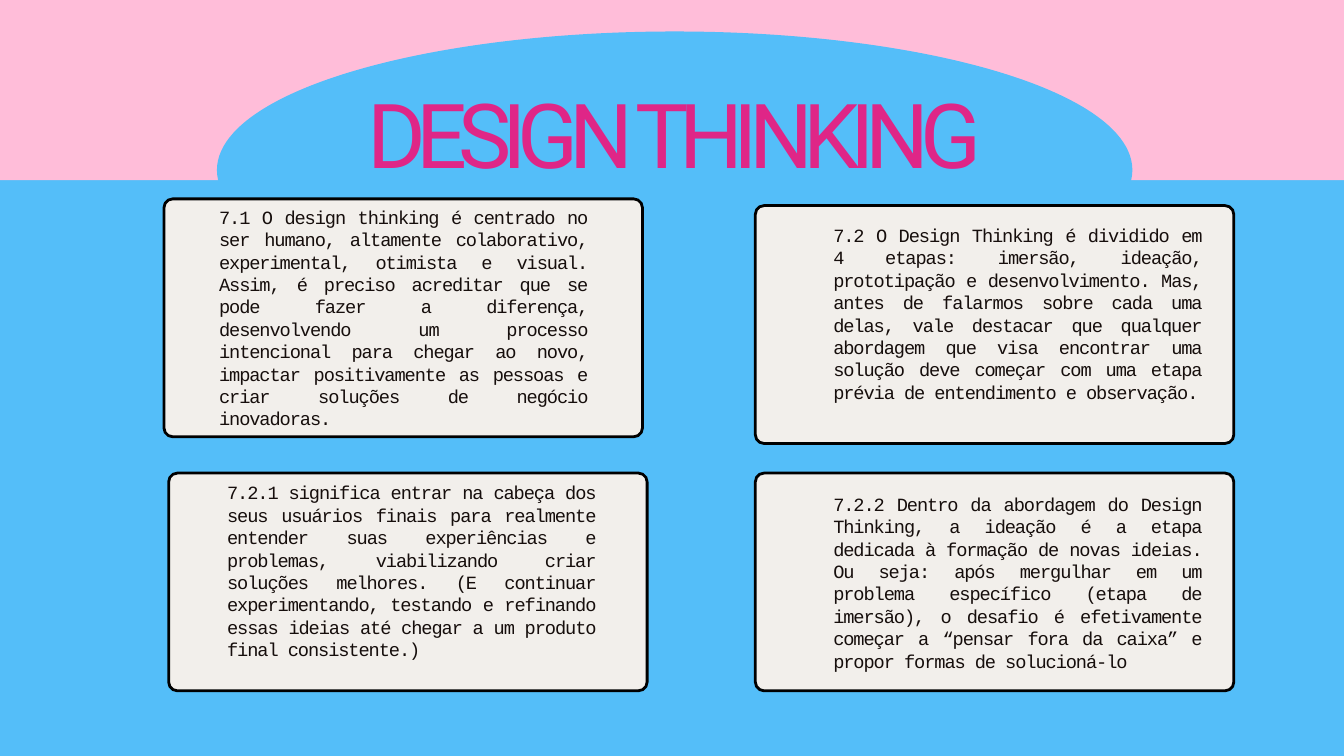
from dataclasses import dataclass

from pptx import Presentation
from pptx.dml.color import RGBColor
from pptx.enum.shapes import MSO_SHAPE as Shape
from pptx.enum.text import MSO_AUTO_SIZE as AutoSize, MSO_ANCHOR as Anchor, PP_ALIGN as Align
from pptx.util import Inches, Pt


@dataclass(frozen=True)
class TextStyle:
    font: str
    size: float
    color: str
    leading: float
    tracking: float
    align: Align


@dataclass(frozen=True)
class Theme:
    blue: str = "54BEF9"
    pink: str = "FFBDD9"
    cream: str = "F2EFEB"
    black: str = "000000"
    card_line: float = 3
    arch_line: float = 4.5
    title: TextStyle = TextStyle("Roboto", 96, "DF2687", 132.5, -9.9, Align.CENTER)
    body: TextStyle = TextStyle("Courier New", 20, "160E0C", 24, -1.2, Align.JUSTIFY)


@dataclass(frozen=True)
class Box:
    left: float
    top: float
    width: float
    height: float

    def emu(self) -> tuple:
        return tuple(map(Inches, (self.left, self.top, self.width, self.height)))


@dataclass(frozen=True)
class Card:
    left: float
    top: float
    height: float
    text_left: float
    text_top: float
    text_height: float
    text: str


THEME = Theme()
CARD_WIDTH, TEXT_WIDTH, CORNER = 7.12, 5.48, 0.13
TALL, SHORT = 3.54, 3.24
RIGHT_CARD, RIGHT_TEXT, LOWER_ROW = 11.24, 12.4, 7.04

CARDS = (
    Card(2.44, 2.96, TALL, 3.26, 3.06, 3.33,
         "7.1 O design thinking é centrado no ser humano, altamente colaborativo, "
         "experimental, otimista e visual. Assim, é preciso acreditar que se pode fazer "
         "a diferença, desenvolvendo um processo intencional para chegar ao novo, "
         "impactar positivamente as pessoas e criar soluções de negócio inovadoras."),
    Card(2.51, LOWER_ROW, SHORT, 3.38, 7.16, 3,
         "7.2.1 significa entrar na cabeça dos seus usuários finais para realmente "
         "entender suas experiências e problemas, viabilizando criar soluções melhores. "
         "(E continuar experimentando, testando e refinando essas ideias até chegar a um "
         "produto final consistente.)"),
    Card(RIGHT_CARD, 3.06, TALL, RIGHT_TEXT, 3.33, 3,
         "7.2 O Design Thinking é dividido em 4 etapas: imersão, ideação, prototipação e "
         "desenvolvimento. Mas, antes de falarmos sobre cada uma delas, vale destacar que "
         "qualquer abordagem que visa encontrar uma solução deve começar com uma etapa "
         "prévia de entendimento e observação."),
    Card(RIGHT_CARD, LOWER_ROW, SHORT, RIGHT_TEXT, 7.33, 2.67,
         "7.2.2 Dentro da abordagem do Design Thinking, a ideação é a etapa dedicada à "
         "formação de novas ideias. Ou seja: após mergulhar em um problema específico "
         "(etapa de imersão), o desafio é efetivamente começar a “pensar fora da caixa” "
         "e propor formas de solucioná-lo"),
)


def set_all(obj, values: dict) -> None:
    for name, value in values.items():
        setattr(obj, name, value)


def add_panel(s, kind: Shape, box: Box, fill: str, line: str = "", weight: float = 0):
    sp = s.shapes.add_shape(kind, *box.emu())
    sp.shadow.inherit = False
    sp.fill.solid()
    sp.fill.fore_color.rgb = RGBColor.from_string(fill)
    if line:
        sp.line.color.rgb = RGBColor.from_string(line)
        sp.line.width = Pt(weight)
    else:
        sp.line.fill.background()
    return sp


def add_text(s, box: Box, text: str, style: TextStyle) -> None:
    tf = s.shapes.add_textbox(*box.emu()).text_frame
    set_all(tf, {"margin_left": 0, "margin_right": 0, "margin_top": 0, "margin_bottom": 0,
                 "word_wrap": True, "vertical_anchor": Anchor.TOP,
                 "auto_size": AutoSize.SHAPE_TO_FIT_TEXT})
    p = tf.paragraphs[0]
    set_all(p, {"alignment": style.align, "line_spacing": Pt(style.leading)})
    r = p.add_run()
    r.text = text
    set_all(r.font, {"name": style.font, "size": Pt(style.size)})
    r.font.color.rgb = RGBColor.from_string(style.color)
    r.font._element.set("spc", str(round(style.tracking * 100)))


def add_card(s, card: Card) -> None:
    box = Box(card.left, card.top, CARD_WIDTH, card.height)
    sp = add_panel(s, Shape.ROUNDED_RECTANGLE, box, THEME.cream, THEME.black, THEME.card_line)
    sp.adjustments[0] = CORNER / card.height
    text_box = Box(card.text_left, card.text_top, TEXT_WIDTH, card.text_height)
    add_text(s, text_box, card.text, THEME.body)


def main() -> None:
    prs = Presentation()
    set_all(prs, {"slide_width": Inches(20), "slide_height": Inches(11.25)})
    s = prs.slides.add_slide(prs.slide_layouts[6])
    s.background.fill.solid()
    s.background.fill.fore_color.rgb = RGBColor.from_string(THEME.blue)

    add_panel(s, Shape.RECTANGLE, Box(0, 0, 20, 2.68), THEME.pink)
    add_panel(s, Shape.OVAL, Box(3.26, 0.5, 13.56, 4.06), THEME.blue, THEME.blue, THEME.arch_line)
    for card in CARDS:
        add_card(s, card)
    add_text(s, Box(1.61, 0.93, 16.85, 1.98), "DESIGN THINKING", THEME.title)
    prs.save("out.pptx")


if __name__ == "__main__":
    main()
